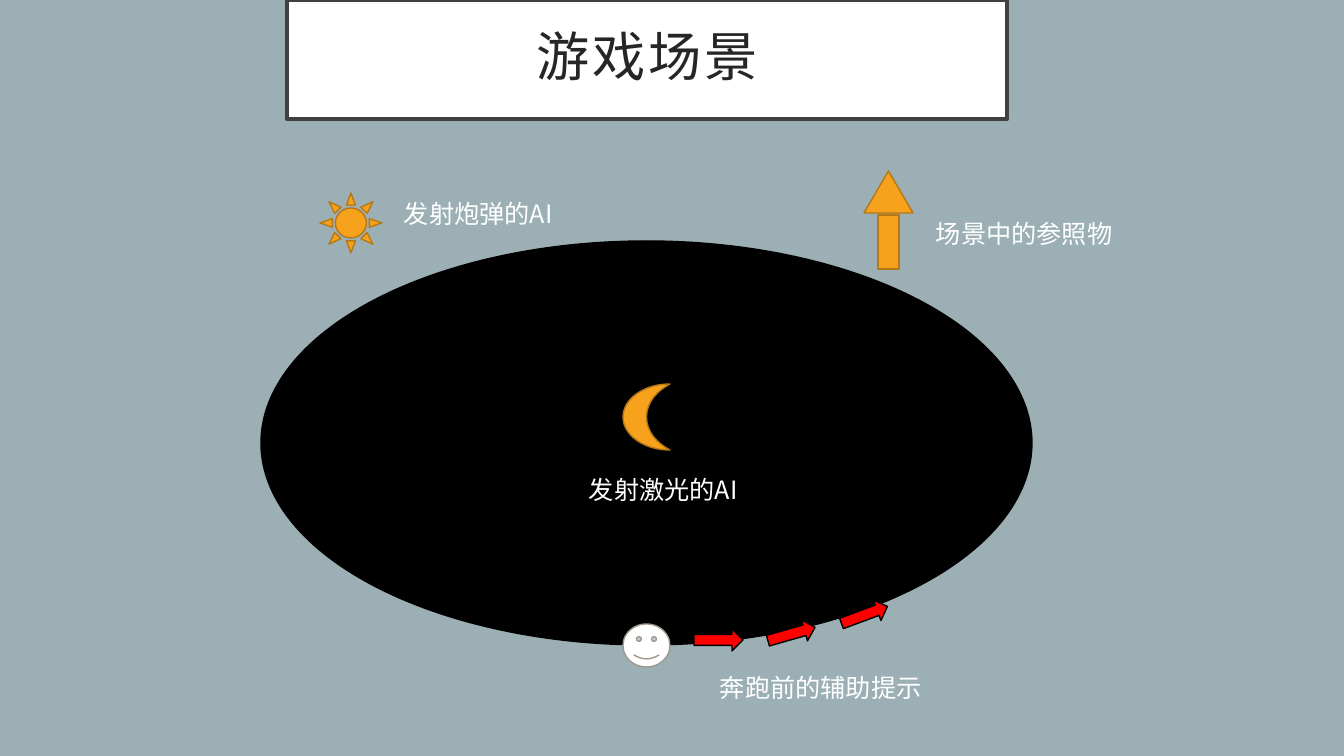
"""Build the game scene slide."""
from lxml.etree import SubElement
from pptx import Presentation
from pptx.dml.color import RGBColor
from pptx.enum.shapes import MSO_SHAPE as Preset
from pptx.enum.text import MSO_ANCHOR as Anchor, PP_ALIGN as Align
from pptx.oxml.ns import qn
from pptx.util import Pt

EMU_PER_PX = 914400 / 100.8
FONT = "Noto Sans CJK SC"
WHITE, BLACK, RED = "FFFFFF", "000000", "FF0000"
ORANGE, BROWN = "F6A21D", "B67815"


def px(length):
    return round(length * EMU_PER_PX)


def paint(fill, color):
    fill.solid()
    fill.fore_color.rgb = RGBColor.from_string(color)


def add_figure(page, preset, bounds, fill, line, width=1, rotation=0):
    shape = page.shapes.add_shape(preset, *map(px, bounds))
    shape.shadow.inherit = False
    shape.rotation = rotation
    paint(shape.fill, fill)
    paint(shape.line.fill, line)
    shape.line.width = Pt(width)
    return shape


def write(frame, text, size, color, spacing=0):
    para = frame.paragraphs[0]
    para.add_run().text = text
    para.font.size = Pt(size)
    paint(para.font.fill, color)
    para.font.name = FONT
    properties = para._p.pPr.find(qn("a:defRPr"))
    properties.set("spc", str(spacing * 100))
    SubElement(properties, qn("a:ea")).set("typeface", FONT)
    return para


def add_title(page, text):
    frame = add_figure(page, Preset.RECTANGLE, (287, 0, 720, 119), WHITE, "404040", 3).text_frame
    frame.word_wrap = True
    frame.vertical_anchor = Anchor.MIDDLE
    frame.margin_left = frame.margin_right = px(30)
    frame.margin_top = frame.margin_bottom = px(20)
    para = write(frame, text, 38, "262626", spacing=2)
    para.alignment = Align.CENTER
    para.line_spacing = 0.9


def add_label(page, text, left, top, width):
    box = page.shapes.add_textbox(*map(px, (left, top, width, 40)))
    box.text_frame.word_wrap = True
    write(box.text_frame, text, 18, WHITE).alignment = Align.LEFT


def add_run_hints(page):
    for left, top, rotation in ((694, 629, 0), (767, 623, 344.1), (840, 604, 339.6)):
        add_figure(page, Preset.RIGHT_ARROW, (left, top, 49, 22), RED, BLACK, rotation=rotation)


def add_landmark(page):
    add_figure(page, Preset.ISOSCELES_TRIANGLE, (864, 171, 49, 42), ORANGE, BROWN)
    add_figure(page, Preset.RECTANGLE, (878, 215, 21, 54), ORANGE, BROWN)


def main():
    deck = Presentation()
    deck.slide_width, deck.slide_height = px(1344), px(756)
    page = deck.slides.add_slide(deck.slide_layouts[6])
    paint(page.background.fill, "9BAFB5")

    add_title(page, "游戏场景")
    add_figure(page, Preset.OVAL, (261, 241, 771, 404), BLACK, BLACK)
    add_figure(page, Preset.SMILEY_FACE, (623, 624, 47, 43), WHITE, "A0988C")
    add_run_hints(page)
    add_landmark(page)
    add_label(page, "奔跑前的辅助提示", 710, 667, 254)
    add_label(page, "场景中的参照物", 926, 213, 254)
    add_figure(page, Preset.SUN, (320, 193, 62, 60), ORANGE, BROWN)
    add_label(page, "发射炮弹的AI", 394, 193, 193)
    add_figure(page, Preset.MOON, (623, 384, 47, 66), ORANGE, BROWN)
    add_label(page, "发射激光的AI", 579, 469, 193)
    deck.save("out.pptx")


if __name__ == "__main__":
    main()
